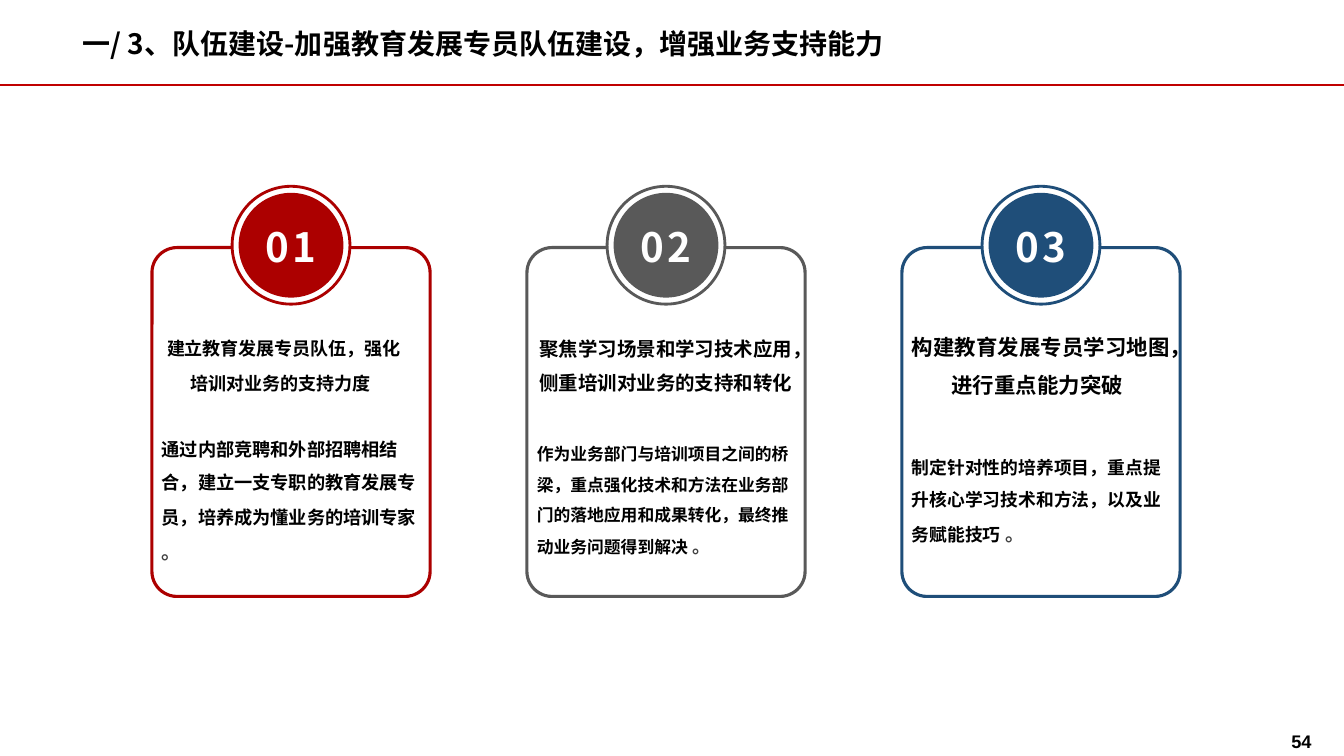
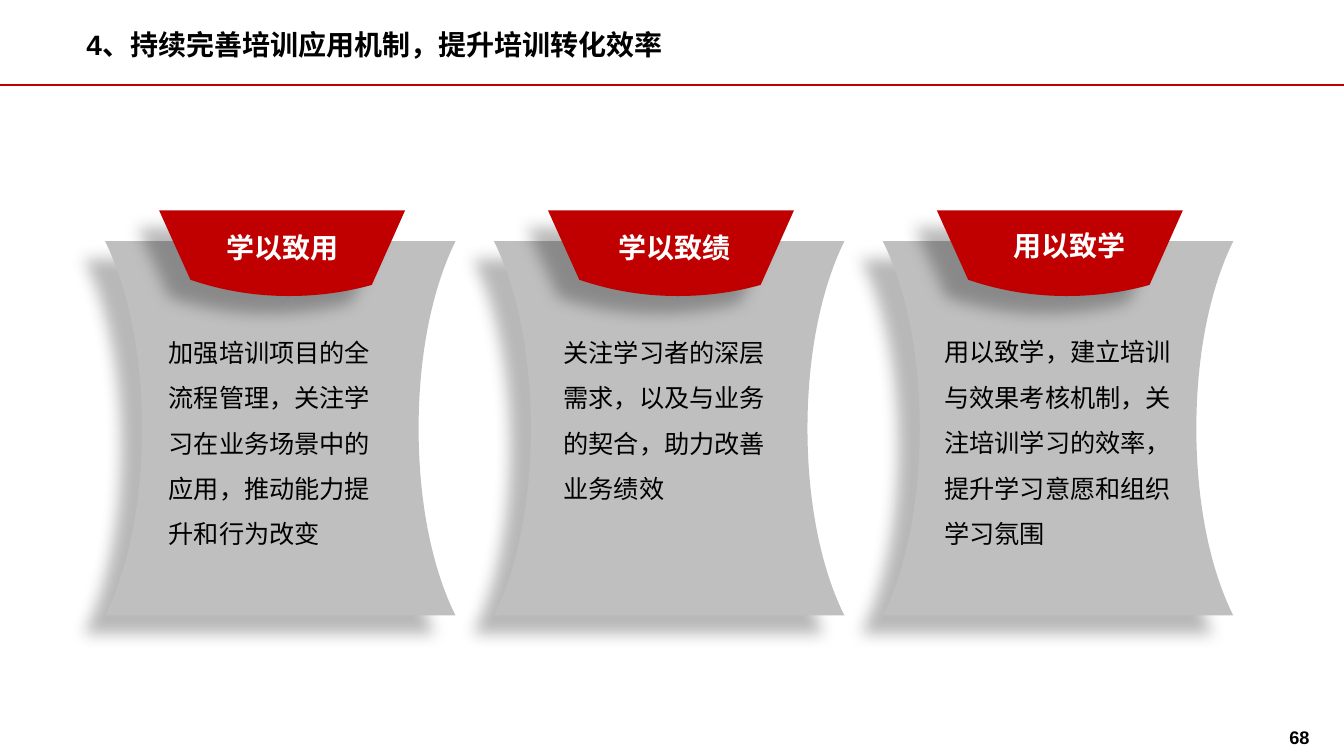
from lxml.etree import SubElement
from pptx import Presentation
from pptx.dml.color import RGBColor
from pptx.enum.lang import MSO_LANGUAGE_ID as LANG
from pptx.enum.shapes import MSO_CONNECTOR as LINE, MSO_SHAPE as SHAPE
from pptx.enum.text import MSO_ANCHOR as ANCHOR, PP_ALIGN as ALIGN
from pptx.oxml.ns import qn
from pptx.util import Cm, Pt

WIDE, HIGH = 33.87, 19.05
LATIN, HAN = "Arial", "Noto Sans CJK SC"
COLORS = {
    "ink": "000000", "soft": "404040", "white": "FFFFFF", "red": "C00000",
    "wine": "AC0000", "slate": "595959", "navy": "1F4E79", "panel": "BFBFBF",
}

# title: text, font, left, top; page: number, left, top
TEAM = {
    "title": ("一/ 3、队伍建设-加强教育发展专员队伍建设，增强业务支持能力", HAN, 1.83, 0.55),
    "page": ("54", 26.24, 18.29),
}
APPLY = {
    "title": ("4、持续完善培训应用机制，提升培训转化效率", LATIN, 1.93, 0.56),
    "page": ("68", 26.19, 18.18),
}

# colour, head (text, size, end size, width), body (text, size, end size, spacing)
CARDS = [
    ("wine", ("建立教育发展专员队伍，强化培训对业务的支持力度", 12.9, 22.2, 6.65),
     ("通过内部竞聘和外部招聘相结合，建立一支专职的教育发展专员，培养成为懂业务的培训专家", 13, 14, 80)),
    ("slate", ("聚焦学习场景和学习技术应用，侧重培训对业务的支持和转化", 13.9, 21.7, 7.01),
     ("作为业务部门与培训项目之间的桥梁，重点强化技术和方法在业务部门的落地应用和成果转化，最终推动业务问题得到解决", 12, 12.9, 60)),
    ("navy", ("构建教育发展专员学习地图，进行重点能力突破", 15.3, 23.8, 7.01),
     ("制定针对性的培养项目，重点提升核心学习技术和方法，以及业务赋能技巧", 12.7, 13.7, 60)),
]
CARD = {"left": 3.83, "top": 6.24, "step": 9.45, "wide": 7.01, "high": 8.79}
RING, DISC, MID = 2.97, 2.64, 6.18

# label and its box, body and its box
PANELS = [
    ("学以致用", (5.24, 5.49, 3.76, 1.5),
     "加强培训项目的全流程管理，关注学习在业务场景中的应用，推动能力提升和行为改变", (4, 7.99, 6.2, 5.89)),
    ("学以致绩", (15.14, 5.5, 3.73, 1.45),
     "关注学习者的深层需求，以及与业务的契合，助力改善业务绩效", (13.95, 7.99, 6.2, 4.72)),
    ("用以致学", (25.19, 5.46, 3.51, 1.45),
     "用以致学，建立培训与效果考核机制，关注培训学习的效率，提升学习意愿和组织学习氛围", (23.55, 7.98, 6.6, 5.89)),
]
PANEL = {"left": 2.65, "top": 6.08, "step": 9.8}
BADGE = {"left": 4.01, "top": 5.3, "step": 9.8}
SHADE = {"blurRad": Pt(11.8), "dist": Pt(19.7), "dir": 141 * 60000,
         "algn": "tr", "rotWithShape": 0}

# An outline is a list of steps: one point is a line, three are a curve
PANEL_PATH = [
    [(0, 0)], [(8.83, 0)],
    [(8.25, 1.17), (7.9, 2.84), (7.9, 4.72)],
    [(7.9, 6.6), (8.25, 8.27), (8.83, 9.43)],
    [(0, 9.43)],
    [(0.58, 8.27), (0.93, 6.6), (0.93, 4.72)],
    [(0.93, 2.84), (0.58, 1.17), (0, 0)],
]
BADGE_PATH = [
    [(0, 0)], [(6.2, 0)], [(5.36, 1.88)],
    [(4.72, 2.06), (4.01, 2.16), (3.28, 2.16)],
    [(2.36, 2.16), (1.55, 2.01), (0.79, 1.75)],
]


def rgb(name):
    return RGBColor.from_string(COLORS[name])


def paint(shape, fill=None, line=None, width=1):
    shape.shadow.inherit = False
    if fill:
        shape.fill.solid()
        shape.fill.fore_color.rgb = rgb(fill)
    else:
        shape.fill.background()
    if line:
        shape.line.color.rgb = rgb(line)
        shape.line.width = Pt(width)
    else:
        shape.line.fill.background()
    return shape


def add(slide, kind, box, **look):
    return paint(slide.shapes.add_shape(kind, *map(Cm, box)), **look)


def write(frame, runs, anchor=ANCHOR.TOP, wrap=True, hang=True, **layout):
    """Fill a frame with one paragraph; a run is (text, font values)."""
    frame.word_wrap, frame.vertical_anchor = wrap, anchor
    para = frame.paragraphs[0]
    for key, value in layout.items():
        setattr(para, key, value)
    if not hang:
        para._p.get_or_add_pPr().set("hangingPunct", "0")
    for text, look in runs:
        run = para.add_run()
        run.text = text
        look = {"name": LATIN, "color": "ink", "space": 0, "bold": False, **look}
        run.font.color.rgb = rgb(look.pop("color"))
        space = look.pop("space")
        look["size"] = Pt(look["size"])
        look["language_id"] = LANG.SIMPLIFIED_CHINESE
        for key, value in look.items():
            setattr(run.font, key, value)
        props = run.font._element
        SubElement(props, qn("a:ea")).set("typeface", HAN)
        if space:
            props.set("spc", str(space))


def note(slide, box, runs, **layout):
    write(slide.shapes.add_textbox(*map(Cm, box)).text_frame, runs, **layout)


def start(deck, title, page):
    """Add a slide with its title, rule and page number."""
    slide = deck.slides.add_slide(deck.slide_layouts[6])
    rule = slide.shapes.add_connector(
        LINE.STRAIGHT, 0, Cm(2.15), Cm(WIDE), Cm(2.15))
    rule.line.color.rgb = rgb("red")
    rule.line.width = Pt(1.5)
    SubElement(rule._element.spPr, qn("a:effectLst"))
    text, font, left, top = title
    note(slide, (left, top, 25.8, 1.12),
         [(text, {"size": 20, "bold": True, "name": font})])
    text, left, top = page
    note(slide, (left, top, 7.06, 0.48),
         [(text, {"size": 13, "bold": True})], alignment=ALIGN.RIGHT)
    return slide


def bend(shape, steps):
    """Turn the straight segments of three-point steps into curves."""
    lines = list(shape._element.spPr.iter(qn("a:lnTo")))
    for line, step in zip(lines, steps[1:]):
        if len(step) == 3:
            curve = SubElement(line.getparent(), qn("a:cubicBezTo"))
            for x, y in step:
                SubElement(curve, qn("a:pt"), x=str(Cm(x)), y=str(Cm(y)))
            line.getparent().replace(line, curve)


def cut_out(slide, steps, place, index, fill):
    """Draw an outline with a soft shadow in its column."""
    left, top = place["left"] + index * place["step"], place["top"]
    dots = [(Cm(left) + Cm(x), Cm(top) + Cm(y)) for x, y in (s[-1] for s in steps)]
    form = slide.shapes.build_freeform(*dots[0])
    form.add_line_segments(dots[1:], close=True)
    shape = paint(form.convert_to_shape(), fill)
    bend(shape, steps)
    effect = shape._element.spPr.find(qn("a:effectLst"))
    shade = SubElement(effect, qn("a:outerShdw"))
    for key, value in SHADE.items():
        shade.set(key, str(value))
    tone = SubElement(shade, qn("a:srgbClr"), val=COLORS["ink"])
    SubElement(tone, qn("a:alpha"), val="28000")


def draw_card(slide, index, color, head, body):
    left = CARD["left"] + index * CARD["step"]
    wide = CARD["wide"]
    frame = add(slide, SHAPE.ROUNDED_RECTANGLE,
                (left, CARD["top"], wide, CARD["high"]), line=color, width=2.25)
    frame.adjustments[0] = 0.09
    for size, look in ((RING, {"fill": "white", "line": color, "width": 2}),
                       (DISC, {"fill": color})):
        add(slide, SHAPE.OVAL,
            (left + (wide - size) / 2, MID - size / 2, size, size), **look)
    text, size, end, space = body
    note(slide, (left, 10.85, wide, 3.28),
         [(text, {"size": size, "bold": True}),
          (" ", {"size": end, "bold": True}),
          ("。", {"size": end, "bold": True, "name": HAN,
                 "color": "soft", "space": space})],
         anchor=ANCHOR.MIDDLE, hang=False, line_spacing=1.5, space_after=Pt(8))
    text, size, end, span = head
    note(slide, (left, 8.43, span, 1.63),
         [(text, {"size": size, "bold": True}), (" ", {"size": end, "bold": True})],
         anchor=ANCHOR.MIDDLE, alignment=ALIGN.CENTER)
    note(slide, (left + 2.62, 5.33, 1.96, 1.75),
         [(f"{index + 1:02}", {"size": 28.8, "bold": True, "name": HAN,
                               "color": "white", "space": 240})],
         anchor=ANCHOR.MIDDLE, space_after=Pt(8))


def draw_panel(slide, index, label, spot, body, box):
    cut_out(slide, PANEL_PATH, PANEL, index, "panel")
    cut_out(slide, BADGE_PATH, BADGE, index, "red")
    note(slide, box, [(body, {"size": 18})], line_spacing=1.5)
    plate = add(slide, SHAPE.RECTANGLE, spot, fill="red", line="red", width=0.25)
    frame = plate.text_frame
    for side in ("left", "top", "right", "bottom"):
        setattr(frame, f"margin_{side}", Cm(0.13))
    write(frame, [(label, {"size": 20, "bold": True, "color": "white"})],
          anchor=ANCHOR.MIDDLE, wrap=False, alignment=ALIGN.CENTER)


def main():
    deck = Presentation()
    deck.slide_width, deck.slide_height = Cm(WIDE), Cm(HIGH)
    for head, items, draw in ((TEAM, CARDS, draw_card), (APPLY, PANELS, draw_panel)):
        slide = start(deck, **head)
        for index, item in enumerate(items):
            draw(slide, index, *item)
    deck.save("out.pptx")


if __name__ == "__main__":
    main()
